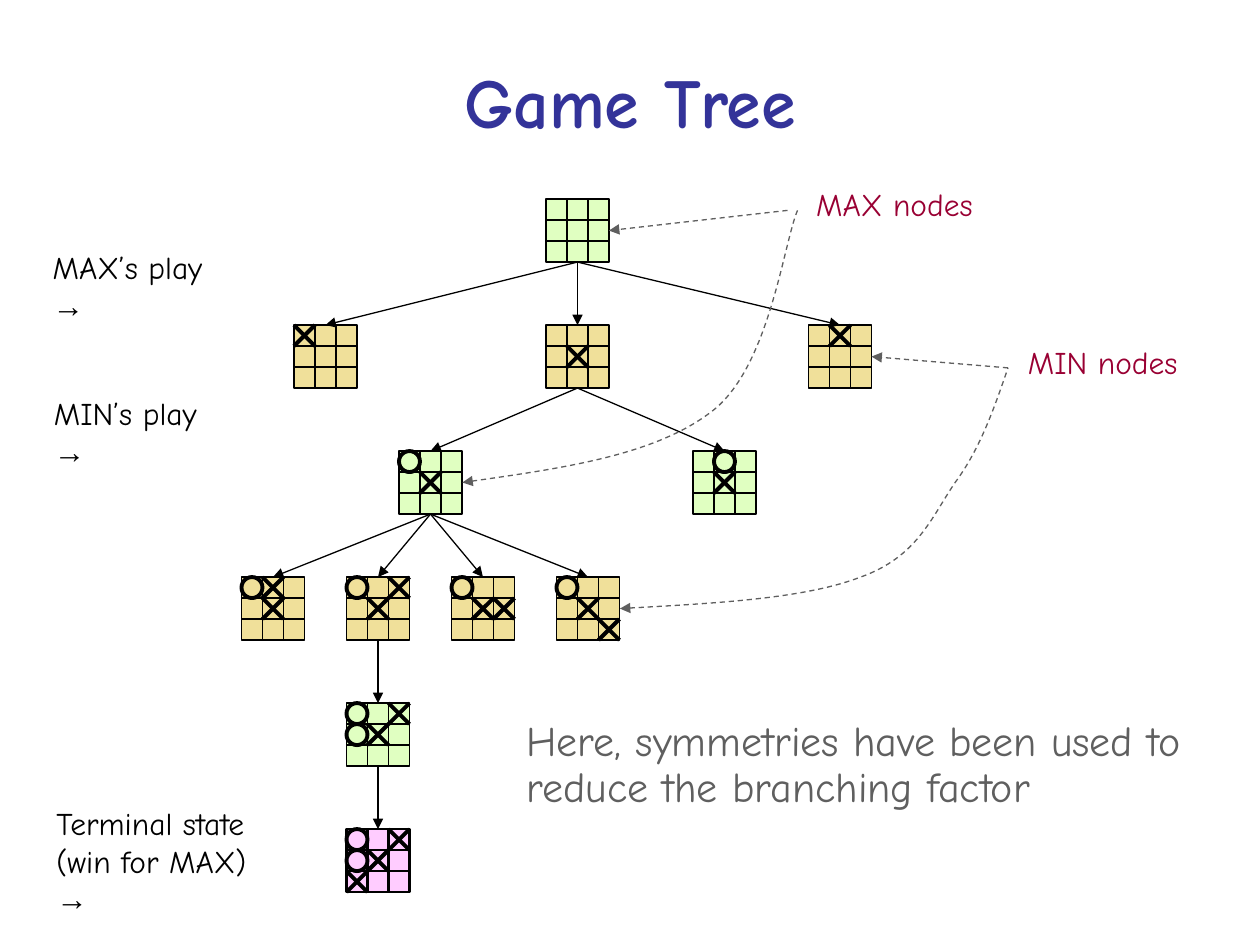
from typing import NamedTuple

from lxml.etree import SubElement
from pptx import Presentation
from pptx.dml.color import RGBColor
from pptx.enum.dml import MSO_LINE
from pptx.enum.shapes import MSO_CONNECTOR, MSO_SHAPE
from pptx.enum.text import MSO_ANCHOR, MSO_AUTO_SIZE, PP_ALIGN
from pptx.oxml.ns import qn
from pptx.util import Inches, Pt

FONT = "Comic Neue"
BLACK, GRAY, CRIMSON, NAVY = "000000", "5F5F5F", "990033", "333399"
MAX_FILL, MIN_FILL, WIN_FILL = "E0FFC1", "F0E09A", "FFCCFF"
CELL = 1 / 6
BOTTOM, RIGHT, TOP = 2, 3, 0


class Board(NamedTuple):
    name: str
    column: float  # left edge, counted in cells from the page edge
    level: int
    fill: str
    marks: str  # nine cells, row by row
    grid_width: float = 0.75


class Label(NamedTuple):
    left: float
    top: float
    width: float
    height: float
    text: str
    size: float = 18
    color: str = BLACK
    arrow: bool = False
    wrap: bool = True
    spacing: float = 1.0


BOARDS = [
    Board("root", 26, 0, MAX_FILL, "........."),
    Board("corner", 14, 1, MIN_FILL, "X........"),
    Board("center", 26, 1, MIN_FILL, "....X...."),
    Board("edge", 38.5, 1, MIN_FILL, ".X......."),
    Board("reply corner", 19, 2, MAX_FILL, "O...X...."),
    Board("reply edge", 33, 2, MAX_FILL, ".O..X...."),
    Board("top", 11.5, 3, MIN_FILL, "OX..X...."),
    Board("top right", 16.5, 3, MIN_FILL, "O.X.X...."),
    Board("right", 21.5, 3, MIN_FILL, "O...XX..."),
    Board("bottom right", 26.5, 3, MIN_FILL, "O...X...X"),
    Board("block", 16.5, 4, MAX_FILL, "O.XOX...."),
    Board("win", 16.5, 5, WIN_FILL, "O.XOX.X..", 1.5),
]

CHILDREN = {
    "root": ["corner", "center", "edge"],
    "center": ["reply corner", "reply edge"],
    "reply corner": ["top", "top right", "right", "bottom right"],
    "top right": ["block"],
    "block": ["win"],
}

LABELS = [
    Label(0.32, 1.92, 1.67, 0.4, "MAX’s play ", arrow=True),
    Label(0.33, 3.08, 1.62, 0.4, "MIN’s play ", arrow=True),
    Label(0.35, 6.33, 2, 0.7, "Terminal state\n(win for MAX) ", arrow=True),
    Label(4.08, 5.67, 5.5, 0.82, "Here, symmetries have been used to reduce the branching factor",
          size=24, color=GRAY, spacing=0.9),
    Label(8.06, 2.67, 1.39, 0.4, "MIN nodes", color=CRIMSON, wrap=False),
    Label(6.38, 1.42, 1.44, 0.4, "MAX nodes", color=CRIMSON, wrap=False),
]

# Each curve: start point, then two control points and an end point per segment
MIN_CURVE = [(4.92, 4.83), (5.65, 4.79), (6.39, 4.75), (6.83, 4.58),
             (7.28, 4.42), (7.39, 4.11), (7.58, 3.83),
             (7.78, 3.56), (7.89, 3.24), (8, 2.92)]
MAX_CURVE = [(3.67, 3.83), (4.44, 3.72), (5.22, 3.61), (5.67, 3.25),
             (6.11, 2.89), (6.22, 1.93), (6.33, 1.67)]


def rgb(color: str) -> RGBColor:
    return RGBColor.from_string(color)


def style_line(shape, width: float, color: str = BLACK, arrow: str = "", dashed: bool = False) -> None:
    """Format an outline; arrow is the tag of the end that gets a triangle."""
    shape.line.color.rgb = rgb(color)
    shape.line.width = Pt(width)
    if dashed:
        shape.line.dash_style = MSO_LINE.DASH
    if arrow:
        outline = shape._element.spPr.find(qn("a:ln"))
        SubElement(outline, qn(arrow), type="triangle")


def add_line(shapes, start: tuple, end: tuple, width: float = 0.75, **style):
    line = shapes.add_connector(MSO_CONNECTOR.STRAIGHT, *map(Inches, (*start, *end)))
    style_line(line, width, **style)
    SubElement(line._element.spPr, qn("a:effectLst"))
    return line


def add_filled(shapes, kind, left: float, top: float, size: float, fill: str, width: float):
    shape = shapes.add_shape(kind, *map(Inches, (left, top, size, size)))
    shape.shadow.inherit = False
    shape.fill.solid()
    shape.fill.fore_color.rgb = rgb(fill)
    style_line(shape, width)
    return shape


def draw_board(page, board: Board):
    """Draw a grouped board and return its square, for connectors to join."""
    shapes = page.shapes.add_group_shape().shapes
    left, top = board.column * CELL, 1.58 + board.level
    side = 3 * CELL
    square = add_filled(shapes, MSO_SHAPE.RECTANGLE, left, top, side, board.fill, board.grid_width)
    for step in (CELL, 2 * CELL):
        add_line(shapes, (left, top + step), (left + side, top + step), board.grid_width)
        add_line(shapes, (left + step, top), (left + step, top + side), board.grid_width)
    for index, mark in enumerate(board.marks):
        row, column = divmod(index, 3)
        x, y = left + column * CELL, top + row * CELL
        if mark == "X":
            add_line(shapes, (x, y), (x + CELL, y + CELL), 2.25)
            add_line(shapes, (x, y + CELL), (x + CELL, y), 2.25)
        elif mark == "O":
            add_filled(shapes, MSO_SHAPE.OVAL, x, y, CELL, board.fill, 2.25)
    return square


def draw_edge(page, parent, child) -> None:
    edge = add_line(page.shapes, (0, 0), (1, 1), arrow="a:tailEnd")
    edge.begin_connect(parent, BOTTOM)
    edge.end_connect(child, TOP)


def draw_pointer(page, start: tuple, square) -> None:
    pointer = add_line(page.shapes, start, (0, 0), color=GRAY, arrow="a:tailEnd", dashed=True)
    pointer.end_connect(square, RIGHT)


def draw_curve(page, points: list) -> None:
    """Draw a dashed Bézier curve with an arrowhead at its start."""
    start, *rest = [(Inches(x), Inches(y)) for x, y in points]
    builder = page.shapes.build_freeform(*start)
    builder.add_line_segments(rest, close=False)
    curve = builder.convert_to_shape()
    curve.shadow.inherit = False
    curve.fill.background()
    style_line(curve, 0.75, GRAY, "a:headEnd", dashed=True)
    segments = list(curve._element.iter(qn("a:lnTo")))
    outline = segments[0].getparent()
    for first in range(0, len(segments), 3):
        bezier = SubElement(outline, qn("a:cubicBezTo"))
        for segment in segments[first:first + 3]:
            bezier.append(segment[0])
            outline.remove(segment)


def add_span(para, text: str, size: float, color: str, font: str = FONT):
    span = para.add_run()
    span.text = text
    span.font.name = font
    span.font.size = Pt(size)
    span.font.color.rgb = rgb(color)
    return span


def draw_label(page, label: Label) -> None:
    box = page.shapes.add_textbox(*map(Inches, label[:4]))
    frame = box.text_frame
    frame.word_wrap = label.wrap
    frame.auto_size = MSO_AUTO_SIZE.SHAPE_TO_FIT_TEXT
    para = frame.paragraphs[0]
    para.line_spacing = label.spacing
    for index, line in enumerate(label.text.split("\n")):
        if index:
            para.add_line_break()
        add_span(para, line, label.size, label.color)
    if label.arrow:
        add_span(para, "→", label.size, label.color, "Arial")


def main() -> None:
    deck = Presentation()
    deck.slide_width, deck.slide_height = Inches(10), Inches(7.5)
    page = deck.slides.add_slide(deck.slide_layouts[5])

    title = page.shapes.title
    title.left, title.top, title.width, title.height = map(Inches, (0.5, 0.17, 9, 1.25))
    title.text_frame.vertical_anchor = MSO_ANCHOR.MIDDLE
    heading = title.text_frame.paragraphs[0]
    heading.alignment = PP_ALIGN.CENTER
    add_span(heading, "Game Tree", 40, NAVY).font.bold = True

    squares = {board.name: draw_board(page, board) for board in BOARDS}
    for parent, children in CHILDREN.items():
        for child in children:
            draw_edge(page, squares[parent], squares[child])
    for label in LABELS:
        draw_label(page, label)
    draw_curve(page, MIN_CURVE)
    draw_pointer(page, (8, 2.92), squares["edge"])
    draw_curve(page, MAX_CURVE)
    draw_pointer(page, (6.25, 1.67), squares["root"])
    deck.save("out.pptx")


if __name__ == "__main__":
    main()
